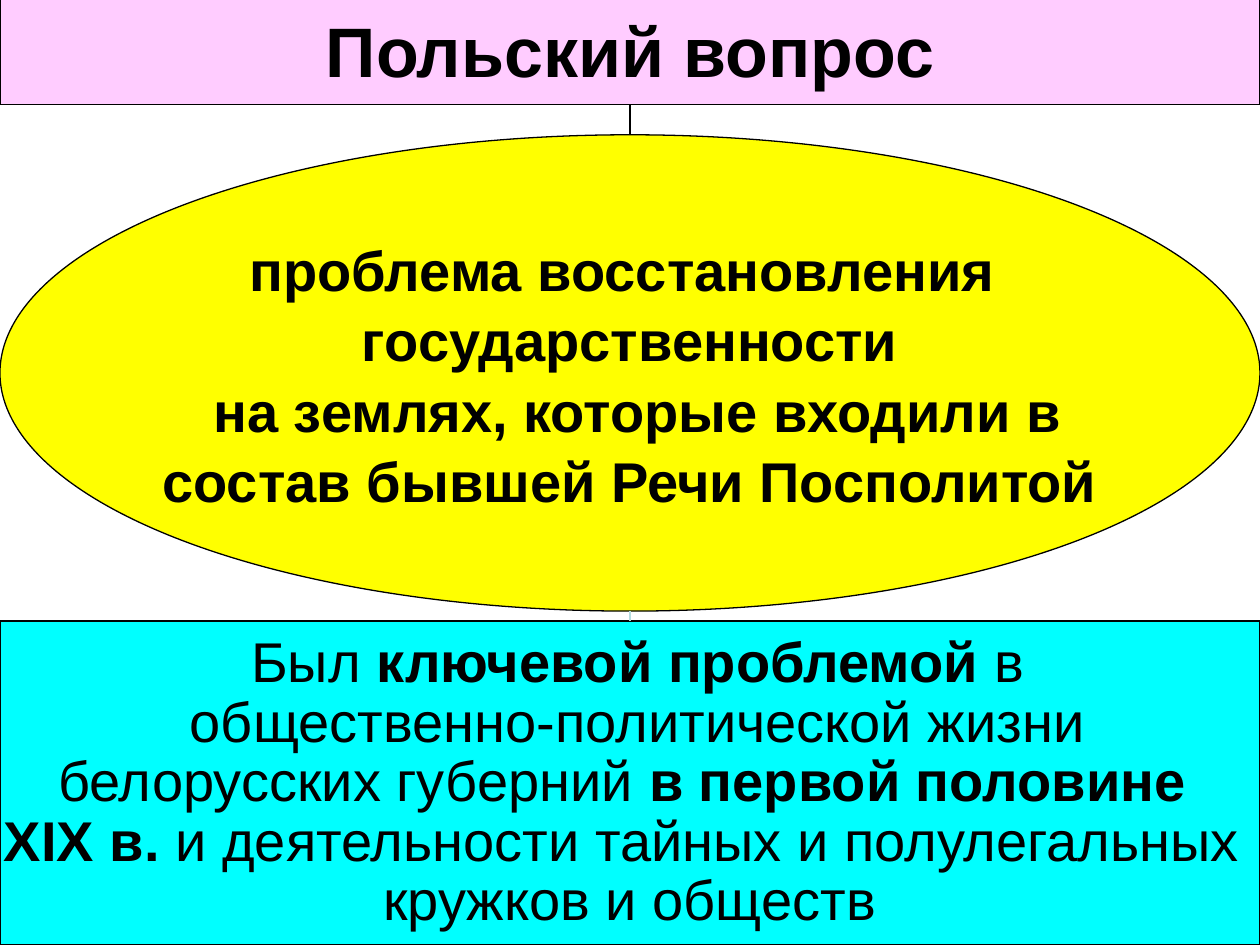
from lxml import etree
from pptx import Presentation, util as u
from pptx.dml.color import RGBColor
from pptx.enum import shapes, text
from pptx.oxml.ns import qn

WIDTH, HEIGHT = u.Inches(10), u.Inches(7.5)
BLACK = "000000"
TITLE = [[("Польский вопрос", True)]]
PROBLEM = [
    [("проблема восстановления ", True)],
    [("государственности", True)],
    [(" на землях, которые входили в", True)],
    [(" состав бывшей Речи Посполитой ", True)],
]
ROLE = [
    [(" Был ", False), ("ключевой проблемой ", True), ("в", False)],
    [(" общественно-политической жизни", False)],
    [("белорусских губерний ", False), ("в первой половине ", True)],
    [("ХІХ в. ", True), ("и деятельности тайных и полулегальных ", False)],
    [("кружков и обществ", False)],
]


def color(value):
    """Turn a hex string into a colour."""
    return RGBColor.from_string(value)


def write_lines(frame, lines, size, spacing):
    """Write centred lines, each a list of (wording, bold) pieces."""
    frame.word_wrap = False
    frame.vertical_anchor = text.MSO_ANCHOR.MIDDLE
    for number, pieces in enumerate(lines):
        line = frame.add_paragraph() if number else frame.paragraphs[0]
        line.alignment = text.PP_ALIGN.CENTER
        line.line_spacing = spacing
        line.font.name = "Arial"
        line.font.size = u.Pt(size)
        line.font.color.rgb = color(BLACK)
        weights = {bold for _, bold in pieces}
        if len(weights) == 1:
            line.font.bold = weights.pop()
        for wording, bold in pieces:
            run = line.add_run()
            run.text = wording
            if len(pieces) > 1:
                run.font.bold = bold


def add_panel(slide, outline, top, bottom, fill, lines, size, spacing=1.0):
    """Add a full-width panel between two heights given in inches."""
    panel = slide.shapes.add_shape(
        outline, 0, u.Inches(top), WIDTH, u.Inches(bottom - top))
    panel.shadow.inherit = False
    panel.fill.solid()
    panel.fill.fore_color.rgb = color(fill)
    panel.line.color.rgb = color(BLACK)
    panel.line.width = u.Pt(0.75)
    write_lines(panel.text_frame, lines, size, spacing)
    return panel


def add_link(slide, upper, lower, stroke):
    """Join the bottom of the upper panel to the top of the lower one."""
    middle = WIDTH // 2
    link = slide.shapes.add_connector(
        shapes.MSO_CONNECTOR.STRAIGHT,
        middle, upper.top + upper.height, middle, lower.top)
    if upper.auto_shape_type == shapes.MSO_SHAPE.RECTANGLE:
        link.begin_connect(upper, 2)
    link.end_connect(lower, 0)
    link.line.color.rgb = color(stroke)
    link.line.width = u.Pt(0.75)
    etree.SubElement(link._element.spPr, qn("a:effectLst"))


def build_slide(slide):
    """Stack the title, the problem and its role, and link them."""
    rectangle, oval = shapes.MSO_SHAPE.RECTANGLE, shapes.MSO_SHAPE.OVAL
    title = add_panel(slide, rectangle, -0.05, 0.83, "FFCCFF", TITLE, 40)
    problem = add_panel(slide, oval, 1.07, 4.85, "FFFF00", PROBLEM, 32, 1.05)
    role = add_panel(slide, rectangle, 4.93, 7.5, "00FFFF", ROLE, 32, u.Pt(34))
    add_link(slide, title, problem, BLACK)
    add_link(slide, problem, role, "B6DCDF")


def main():
    """Build and save the presentation."""
    deck = Presentation()
    deck.slide_width, deck.slide_height = WIDTH, HEIGHT
    build_slide(deck.slides.add_slide(deck.slide_layouts[6]))
    deck.save("out.pptx")


if __name__ == "__main__":
    main()
